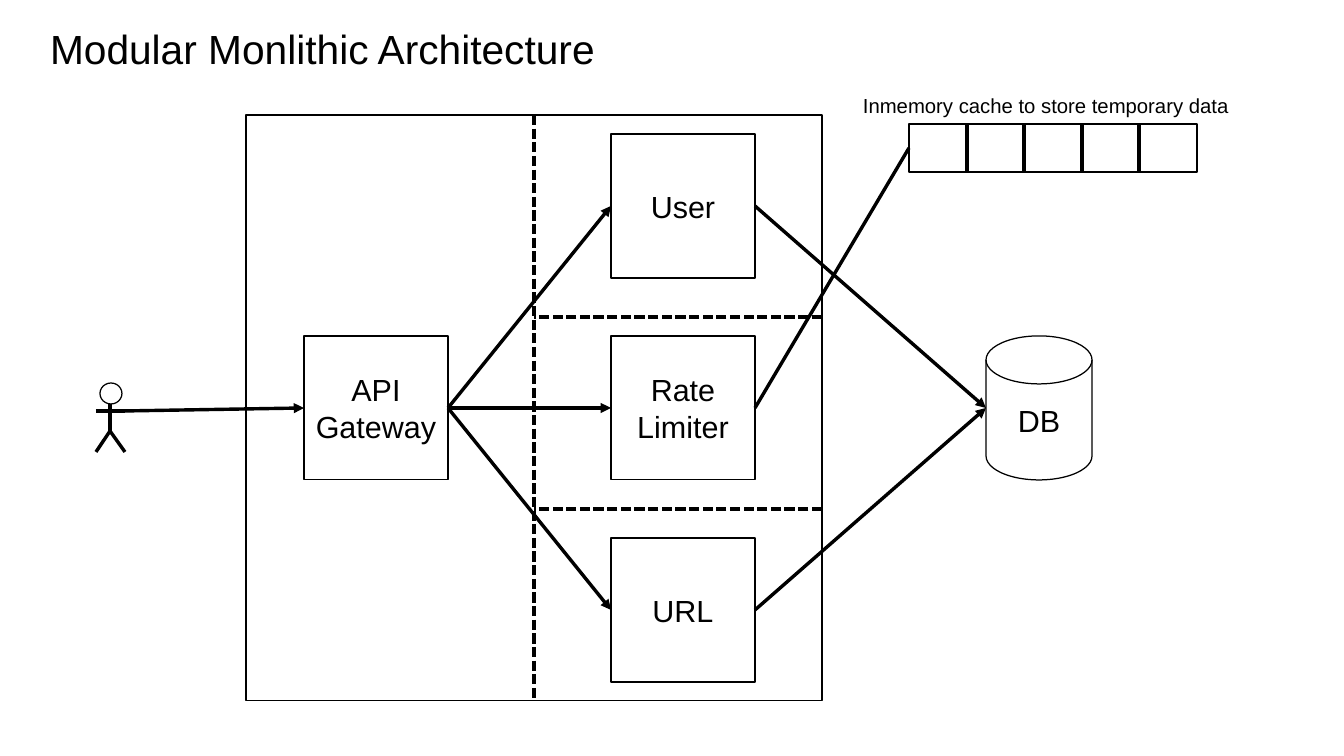
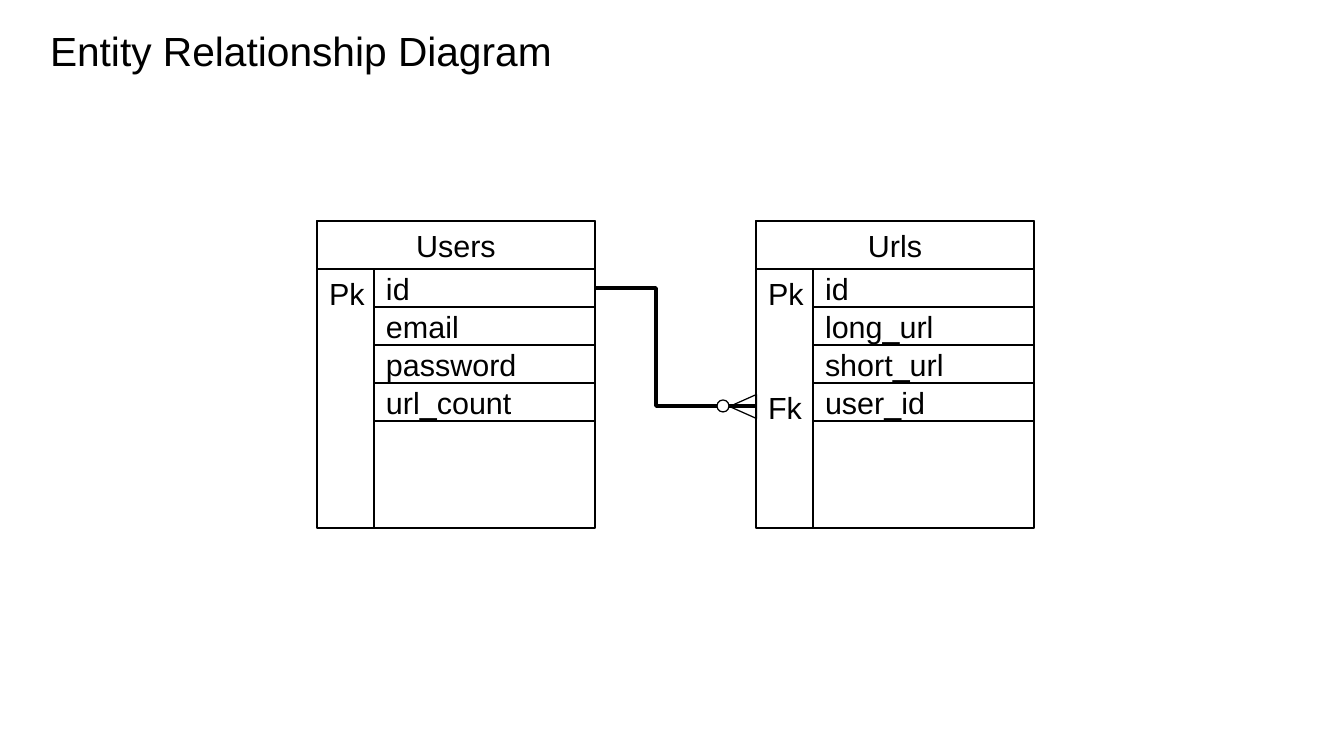
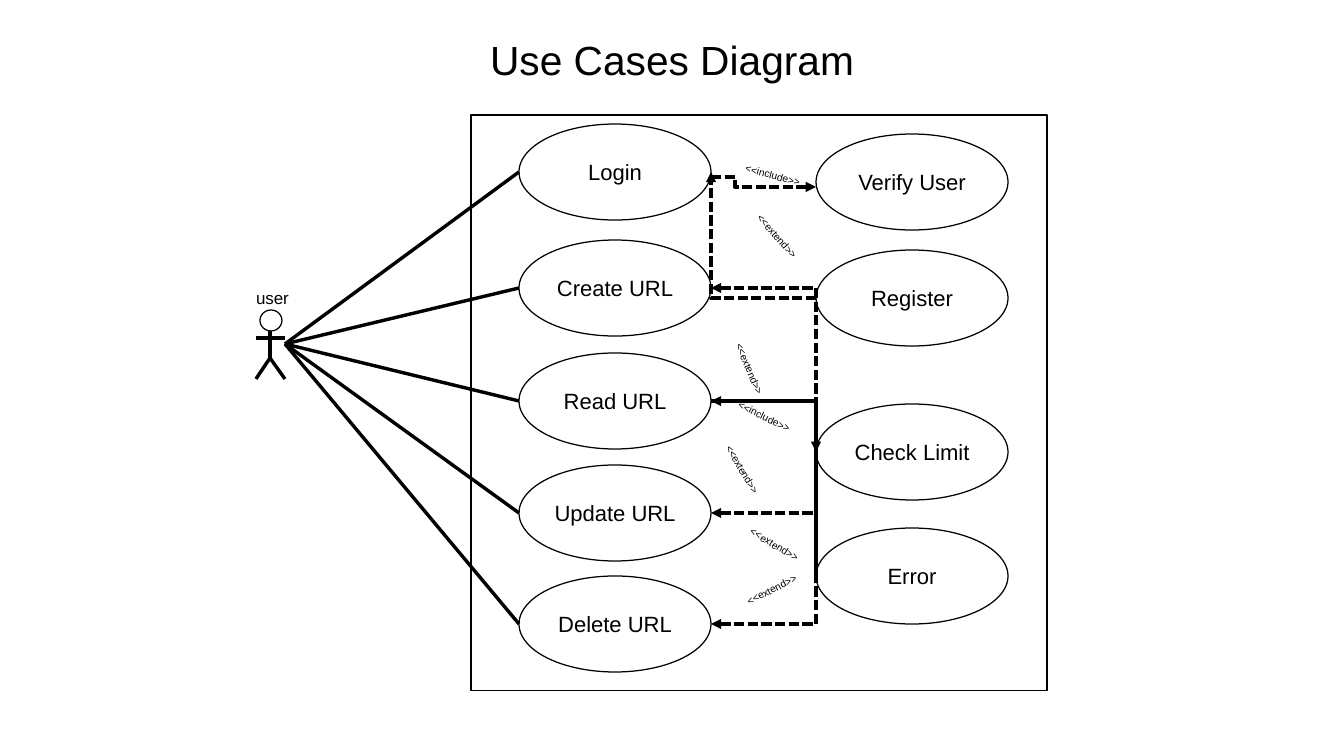
from dataclasses import dataclass

from lxml import etree
from pptx import Presentation
from pptx.dml.color import RGBColor
from pptx.enum.dml import MSO_LINE
from pptx.enum.shapes import MSO_CONNECTOR, MSO_SHAPE
from pptx.enum.text import MSO_ANCHOR, PP_ALIGN
from pptx.oxml.ns import qn
from pptx.util import Pt

PX = 7495
RECT, OVAL = MSO_SHAPE.RECTANGLE, MSO_SHAPE.OVAL
DISK, FORK = MSO_SHAPE.FLOWCHART_MAGNETIC_DISK, MSO_SHAPE.ISOSCELES_TRIANGLE
LINE, ELBOW = MSO_CONNECTOR.STRAIGHT, MSO_CONNECTOR.ELBOW
DASH = MSO_LINE.SQUARE_DOT
TOP, MIDDLE = MSO_ANCHOR.TOP, MSO_ANCHOR.MIDDLE
LEFT, CENTER = PP_ALIGN.LEFT, PP_ALIGN.CENTER
W_SIDE, E_SIDE = 1, 3


@dataclass(frozen=True)
class Theme:
    ink: RGBColor = RGBColor(0, 0, 0)
    font: str = "Arial"
    title: int = 24
    body: int = 18
    case: int = 13
    note: int = 12
    name: int = 10
    tag: int = 6


THEME = Theme()


def emu(*lengths):
    return [n * PX for n in lengths]


def assign(target, values):
    for key, value in values.items():
        setattr(target, key, value)


def write(shape, text, size, align, anchor, wrap):
    frame = shape.text_frame
    frame.text = text
    assign(frame, {"word_wrap": wrap, "vertical_anchor": anchor})
    for para in frame.paragraphs:
        para.alignment = align
        assign(para.font, {"size": Pt(size), "name": THEME.font})
        para.font.color.rgb = THEME.ink


def stroke(item, dash=None):
    assign(item.line, {"width": 0, "dash_style": dash})
    item.line.color.rgb = THEME.ink


def outline(shapes, kind, at, text="", size=THEME.body, align=CENTER):
    """Add an unfilled shape with a hairline border."""
    shape = shapes.add_shape(kind, *emu(*at))
    shape.shadow.inherit = False
    shape.fill.background()
    stroke(shape)
    if text:
        write(shape, text, size, align, MIDDLE, False)
    return shape


def label(shapes, at, text, size, align=LEFT):
    box = shapes.add_textbox(*emu(*at))
    write(box, text, size, align, TOP, True)
    return box


def wire(shapes, start, end, tip=None, dash=None, kind=LINE):
    """Add a connector; tip is headEnd (at start) or tailEnd (at end)."""
    line = shapes.add_connector(kind, *emu(*start, *end))
    stroke(line, dash)
    if tip:
        etree.SubElement(line.line._get_or_add_ln(), qn("a:" + tip), type="triangle")
    etree.SubElement(line._element.spPr, qn("a:effectLst"))
    return line


def corner(shapes, start, end, tip):
    """Add a dashed connector that runs sideways, then up or down."""
    line = wire(shapes, start, end, tip, DASH, ELBOW)
    props = line._element.spPr
    props.find(qn("a:prstGeom")).set("prst", "bentConnector2")
    if end[0] < start[0] and end[1] < start[1]:
        frame = props.find(qn("a:xfrm"))
        for flip in ("flipH", "flipV"):
            del frame.attrib[flip]
        frame.set("rot", "10800000")


def bend(line, share):
    """Move the upright part of an elbow to a share (in 1/100000) of its width."""
    guides = line._element.spPr.find(qn("a:prstGeom")).find(qn("a:avLst"))
    etree.SubElement(guides, qn("a:gd"), name="adj1", fmla=f"val {share}")


def actor(shapes, x, y):
    figure = shapes.add_group_shape().shapes
    mid, hip = x + 14, y + 48
    outline(figure, OVAL, (x + 4, y, 22, 21))
    for start, end in (
        ((mid, y + 21), (mid, hip)),
        ((x, y + 28), (x + 29, y + 28)),
        ((x, y + 69), (mid, hip)),
        ((x + 29, y + 69), (mid, hip)),
    ):
        wire(figure, start, end)


def page(deck, title, y, align=LEFT):
    shapes = deck.slides.add_slide(deck.slide_layouts[6]).shapes
    label(shapes, (38, y, 1268, 58), title, THEME.title, align)
    return shapes


def modules(deck):
    shapes = page(deck, "Modular Monlithic Architecture", 18)
    side, x, y, step = 144, 611, 134, 202
    gate = outline(shapes, RECT, (304, y + step, side, side), "API\nGateway")
    user, rate, url = [
        outline(shapes, RECT, (x, y + i * step, side, side), text)
        for i, text in enumerate(("User", "Rate\nLimiter", "URL"))
    ]
    outline(shapes, DISK, (986, y + step, 106, side), "DB")
    middle = y + step + side // 2
    for i, part in enumerate((user, rate, url)):
        line = wire(shapes, (448, middle), (x, y + i * step + side // 2), "tailEnd")
        line.begin_connect(gate, E_SIDE)
        line.end_connect(part, W_SIDE)
    for i, part in ((0, user), (2, url)):
        start = (x + side, y + i * step + side // 2)
        wire(shapes, start, (986, middle), "tailEnd").begin_connect(part, E_SIDE)

    left, top, width, height, cells = 909, 124, 288, 48, 5
    cache = outline(shapes, RECT, (left, top, width, height))
    for i in range(1, cells):
        split = left + round(width * i / cells)
        wire(shapes, (split, top), (split, top + height))
    label(shapes, (851, 87, 410, 36), "Inmemory cache to store temporary data", THEME.note)
    line = wire(shapes, (x + side, middle), (left, top + height // 2))
    line.begin_connect(rate, E_SIDE)
    line.end_connect(cache, W_SIDE)

    outline(shapes, RECT, (246, 115, 576, 586))
    wire(shapes, (534, 115), (534, 701), dash=DASH)
    for split in (317, 509):
        wire(shapes, (822, split), (534, split), dash=DASH)
    actor(shapes, 96, 383)
    wire(shapes, (125, 411), (304, middle), "tailEnd").end_connect(gate, W_SIDE)


def entity(shapes, x, name, fields, keys):
    y, width, tall, head, key, row = 221, 278, 307, 48, 57, 38
    outline(shapes, RECT, (x, y, width, tall))
    outline(shapes, RECT, (x, y, width, head), name)
    top = y + head
    outline(shapes, RECT, (x, top, key, tall - head))
    for i, field in enumerate(fields):
        at = (x + key, top + i * row, width - key, row)
        outline(shapes, RECT, at, field, align=LEFT)
    for i, text in keys.items():
        label(shapes, (x, top + i * row, 70, 46), text, THEME.body)


def relations(deck):
    shapes = page(deck, "Entity Relationship Diagram", 20)
    entity(shapes, 317, "Users", ("id", "email", "password", "url_count"), {0: "Pk"})
    entity(shapes, 756, "Urls", ("id", "long_url", "short_url", "user_id"),
           {0: "Pk", 3: "Fk"})
    outline(shapes, FORK, (731, 393, 24, 27)).rotation = 270
    wire(shapes, (729, 406), (756, 406))
    outline(shapes, OVAL, (717, 400, 12, 12))
    wire(shapes, (595, 288), (717, 406), kind=ELBOW)


def cases(deck):
    shapes = page(deck, "Use Cases Diagram", 29, CENTER)
    actor(shapes, 256, 310)
    label(shapes, (244, 282, 70, 30), "user", THEME.name)
    outline(shapes, RECT, (471, 115, 576, 576))

    wide, high, near, far = 192, 96, 519, 816
    acts = {"Login": 124, "Create URL": 240, "Read URL": 353,
            "Update URL": 465, "Delete URL": 576}
    checks = {"Verify User": 134, "Register": 250, "Check Limit": 404, "Error": 528}
    for x, column in ((near, acts), (far, checks)):
        for text, y in column.items():
            outline(shapes, OVAL, (x, y, wide, high), text, THEME.case)
    mids = {text: y + high // 2 for text, y in (acts | checks).items()}
    for text in acts:
        wire(shapes, (285, 344), (near, mids[text]))

    edge = near + wide
    for text in list(acts)[1:]:
        corner(shapes, (edge, mids[text]), (far, mids["Error"]), "headEnd")
    corner(shapes, (edge, mids["Read URL"]), (far, mids["Check Limit"]), "tailEnd")
    corner(shapes, (far, mids["Register"]), (edge, mids["Login"]), "tailEnd")
    bend(wire(shapes, (edge, 177), (far, 187), "tailEnd", DASH, ELBOW), 22800)
    tags(shapes)


def tags(shapes):
    """Add the turned relation names, each placed by its centre."""
    for word, x, y, turn in (
        ("extend", 775, 238, 49), ("include", 772, 178, 15),
        ("include", 763, 419, 26), ("extend", 747, 370, 67),
        ("extend", 740, 471, 60), ("extend", 773, 547, 31),
        ("extend", 773, 592, 333),
    ):
        box = label(shapes, (x - 50, y - 15, 100, 30), f"<<{word}>>", THEME.tag, CENTER)
        box.rotation = turn


def main():
    deck = Presentation()
    assign(deck, dict(zip(("slide_width", "slide_height"), emu(1344, 756))))
    modules(deck)
    relations(deck)
    cases(deck)
    deck.save("out.pptx")


if __name__ == "__main__":
    main()
